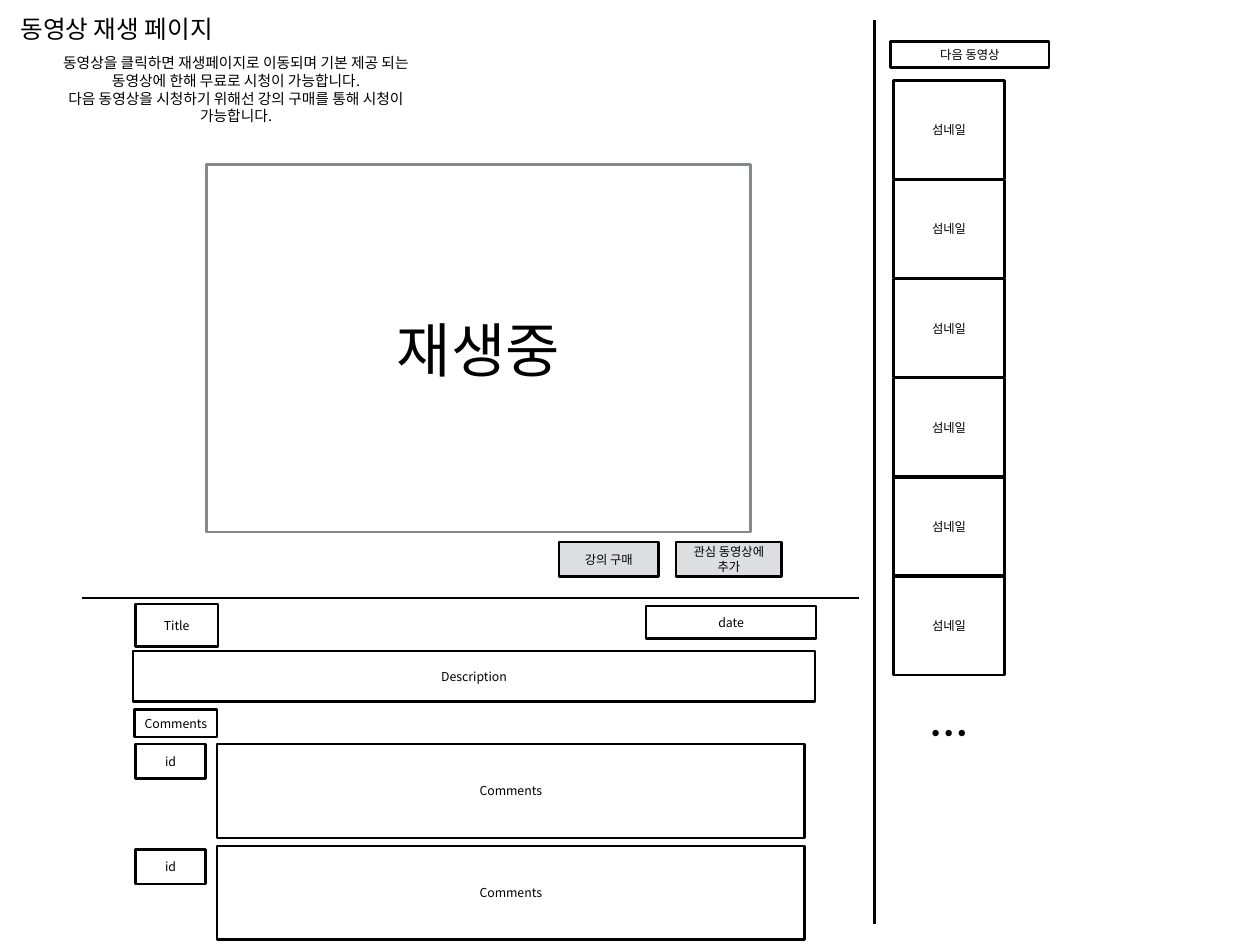
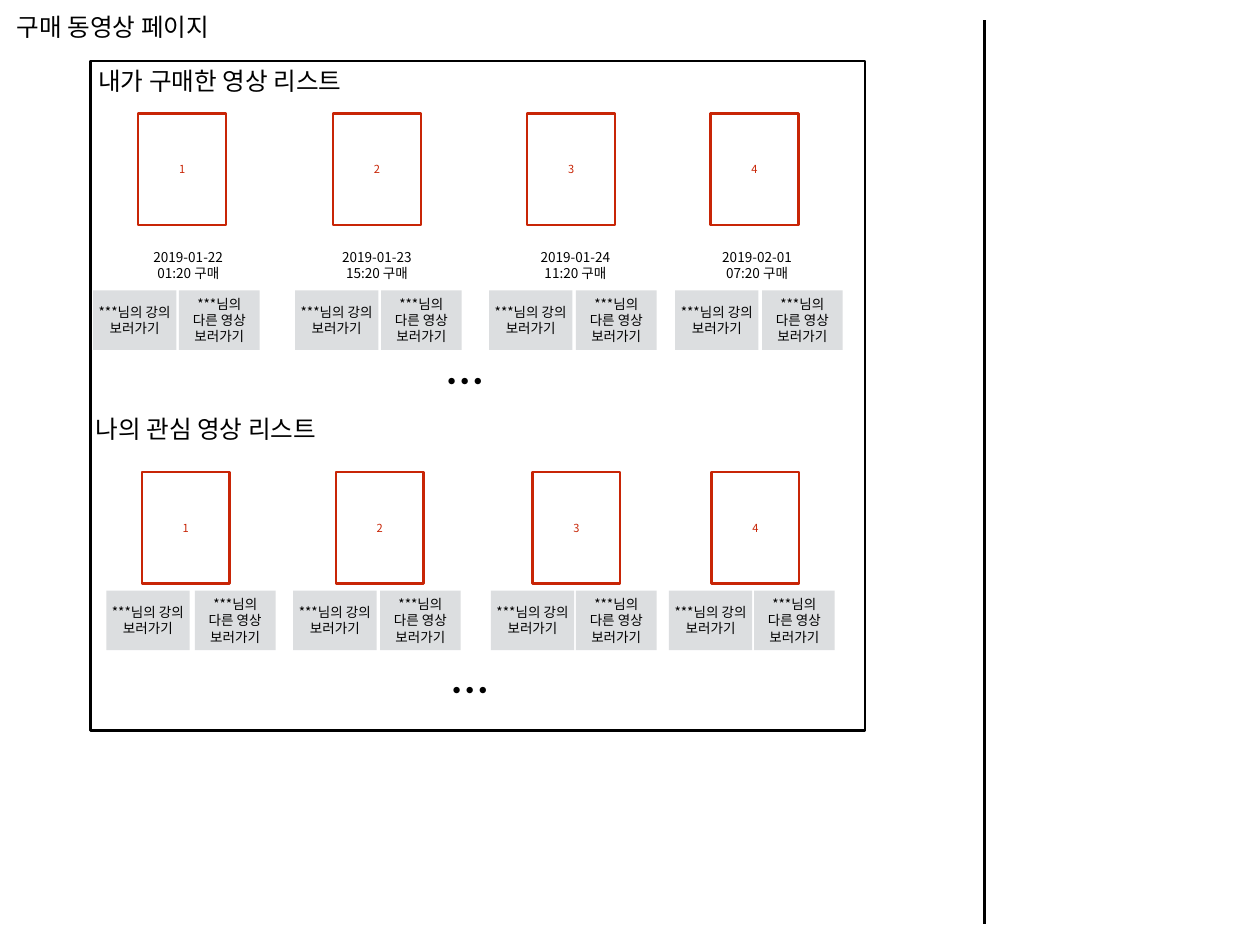
from dataclasses import dataclass

from lxml.etree import SubElement
from pptx import Presentation
from pptx.dml.color import RGBColor
from pptx.enum.shapes import MSO_CONNECTOR, MSO_SHAPE
from pptx.enum.text import MSO_ANCHOR, MSO_AUTO_SIZE, PP_ALIGN
from pptx.oxml.ns import qn
from pptx.util import Inches, Pt

CELL = Inches(0.1)
COLS, ROWS = 142.2, 106.7
FONT = "Noto Sans CJK KR"
BLACK, GREY, BUTTON, RED = "000000", "85888D", "DCDEE0", "C82506"
LINE_WIDTH = Pt(2)
LEADING = 1.2


@dataclass
class Box:
    x: float
    y: float
    w: float
    h: float

    def sub(self, x, y, w, h):
        return Box(self.x + x, self.y + y, w, h)

    def emu(self):
        return [int(n * CELL) for n in (self.x, self.y, self.w, self.h)]


def rgb(color):
    return RGBColor.from_string(color)


def put_text(sp, text, size, color=BLACK, align=PP_ALIGN.CENTER, bold=False, wrap=True):
    tf = sp.text_frame
    tf.auto_size = MSO_AUTO_SIZE.NONE
    tf.word_wrap = wrap
    tf.vertical_anchor = MSO_ANCHOR.MIDDLE
    tf.margin_left = tf.margin_right = tf.margin_top = tf.margin_bottom = Inches(0.06)
    for i, line in enumerate(text.split("\n")):
        p = tf.add_paragraph() if i else tf.paragraphs[0]
        p.alignment = align
        p.line_spacing = Pt(size * LEADING)
        r = p.add_run()
        r.text = line
        r.font.name = FONT
        r.font.size = Pt(size)
        r.font.bold = bold
        r.font.color.rgb = rgb(color)
        SubElement(r.font._element, qn("a:ea")).set("typeface", FONT)


def add_rect(s, box, text="", size=10, color=BLACK, line=BLACK, fill=None):
    sp = s.shapes.add_shape(MSO_SHAPE.RECTANGLE, *box.emu())
    sp.shadow.inherit = False
    if fill:
        sp.fill.solid()
        sp.fill.fore_color.rgb = rgb(fill)
    else:
        sp.fill.background()
    if line:
        sp.line.color.rgb = rgb(line)
        sp.line.width = LINE_WIDTH
    else:
        sp.line.fill.background()
    if text:
        put_text(sp, text, size, color)


def add_label(s, box, text, size, **style):
    put_text(s.shapes.add_textbox(*box.emu()), text, size, **style)


def add_dots(s, box):
    add_label(s, box, "…", 32, bold=True, wrap=False)


def add_rule(s, x1, y1, x2, y2):
    ends = [int(n * CELL) for n in (x1, y1, x2, y2)]
    cx = s.shapes.add_connector(MSO_CONNECTOR.STRAIGHT, *ends)
    cx.line.color.rgb = rgb(BLACK)
    cx.line.width = LINE_WIDTH
    SubElement(cx._element.spPr, qn("a:effectLst"))


def add_page(prs, title, x, y, divider):
    s = prs.slides.add_slide(prs.slide_layouts[5])
    sp = s.shapes.title
    sp.left, sp.top, sp.width, sp.height = Box(x, y, 25.4, 4.5).emu()
    put_text(sp, title, 20, align=PP_ALIGN.LEFT, wrap=False)
    add_rule(s, divider, 2.3, divider, 104.3)
    return s


def player(s, box):
    add_rect(s, box, "재생중", 48, line=GREY)
    add_rect(s, box.sub(39.8, 42.6, 11.2, 3.9), "강의 구매", fill=BUTTON)
    add_rect(s, box.sub(53, 42.6, 11.9, 3.9), "관심 동영상에 추가", fill=BUTTON)


def details(s, box):
    add_rule(s, box.x - 5.7, box.y, box.x + 81.9, box.y)
    add_rect(s, box.sub(0.3, 0.7, 9.3, 4.8), "Title")
    add_rect(s, box.sub(57.9, 0.9, 19.2, 3.7), "date")
    add_rect(s, box.sub(0, 6, box.w, 5.7), "Description")
    add_rect(s, box.sub(0.2, 12.6, 9.3, 3.1), "Comments")
    for id_top, comment_top in ((16.5, 16.5), (28.4, 28)):
        add_rect(s, box.sub(0.3, id_top, 7.9, 3.9), "id")
        add_rect(s, box.sub(9.5, comment_top, 66.3, 10.6), "Comments")


def next_videos(s, box):
    add_rect(s, box.sub(0, 0, box.w, 2.9), "다음 동영상")
    for i in range(6):
        add_rect(s, box.sub(0.35, 4.4 + 11.2 * i, 12.5, 11.1), "섬네일")
    add_dots(s, box.sub(3.9, 74.8, 5.5, 6.5))


def video_list(s, box, heading, indent, thumb_top, button_top, cards, dots):
    add_label(s, box.sub(indent, 0, 32, 4.5), heading, 20, align=PP_ALIGN.LEFT, wrap=False)
    for n, (thumb, lecture, more) in enumerate(cards, 1):
        add_rect(s, box.sub(thumb, thumb_top, 9.9, 12.6), str(n), 9, RED, RED)
        add_rect(s, box.sub(lecture, button_top, 9.4, 6.7), "***님의 강의 보러가기", 11,
                 line=None, fill=BUTTON)
        add_rect(s, box.sub(more, button_top, 9.1, 6.7), "***님의 다른 영상 보러가기", 11,
                 line=None, fill=BUTTON)
    add_dots(s, box.sub(*dots, 5.5, 6.5))


def purchase_dates(s, box, dates):
    for x, text in dates:
        add_label(s, box.sub(x, 0, 15.7, 4.8), text, 11)


def play_page(prs):
    s = add_page(prs, "동영상 재생 페이지", 1.7, 1, 98.7)
    add_label(s, Box(3.8, 5.5, 45.7, 9.2),
              "동영상을 클릭하면 재생페이지로 이동되며 기본 제공 되는 동영상에 한해 무료로 시청이 가능합니다.\n"
              "다음 동영상을 시청하기 위해선 강의 구매를 통해 시청이 가능합니다.", 12)
    player(s, Box(23.3, 18.6, 61.4, 41.5))
    details(s, Box(15, 67.5, 77, 38.6))
    next_videos(s, Box(100.5, 4.7, 17.9, 81.3))


def purchase_page(prs):
    s = add_page(prs, "구매 동영상 페이지", 1.3, 0.8, 111.1)
    frame = Box(10.2, 6.9, 87.4, 75.6)
    add_rect(s, frame)
    video_list(s, frame.sub(0, 0, frame.w, 39.3), "내가 구매한 영상 리스트", 0.3, 5.9, 25.9,
               ((5.4, 0.3, 10), (27.4, 23.1, 32.8), (49.3, 45, 54.8), (70, 66, 75.8)),
               (39.5, 32.8))
    purchase_dates(s, frame.sub(0, 20.6, frame.w, 4.8), (
        (3.2, "2019-01-22\n01:20 구매"),
        (24.5, "2019-01-23\n15:20 구매"),
        (46.9, "2019-01-24\n11:20 구매"),
        (67.4, "2019-02-01\n07:20 구매"),
    ))
    video_list(s, frame.sub(0, 39.3, frame.w, 36.3), "나의 관심 영상 리스트", 0, 7.1, 20.5,
               ((5.8, 1.8, 11.8), (27.7, 22.9, 32.7), (49.9, 45.2, 54.8), (70.1, 65.3, 74.9)),
               (40.1, 28.4))


def main():
    prs = Presentation()
    prs.slide_width, prs.slide_height = int(COLS * CELL), int(ROWS * CELL)
    play_page(prs)
    purchase_page(prs)
    prs.save("out.pptx")


if __name__ == "__main__":
    main()
